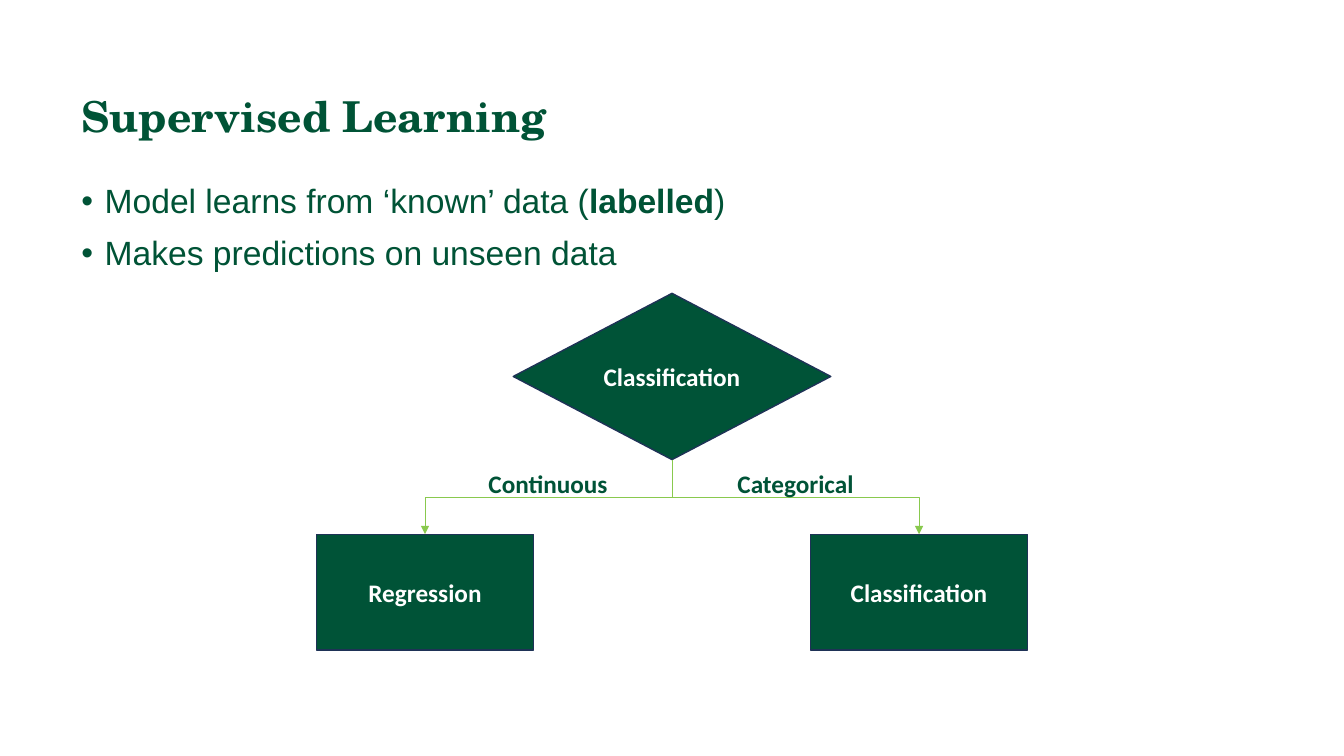
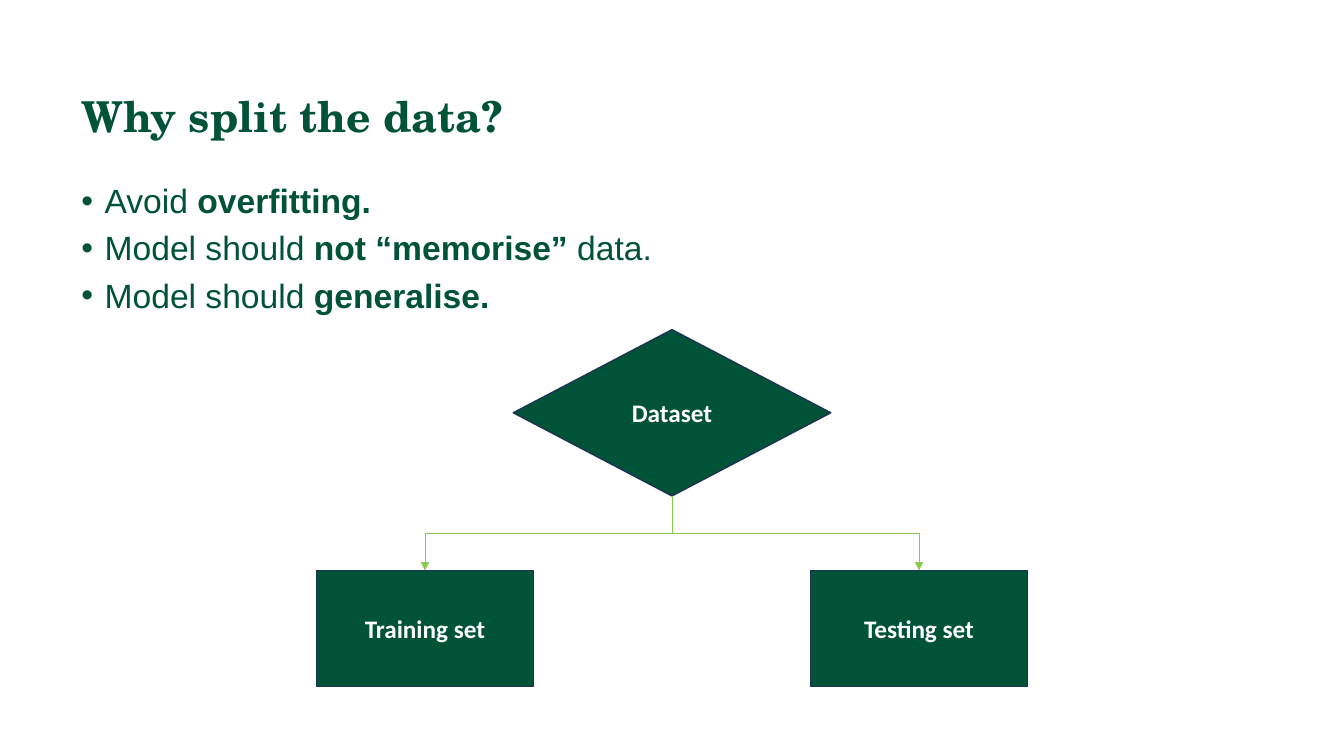
from lxml.etree import SubElement
from pptx import Presentation
from pptx.dml.color import RGBColor
from pptx.enum.shapes import MSO_CONNECTOR as Connector, MSO_SHAPE as Shape
from pptx.enum.text import MSO_ANCHOR as Anchor, PP_ALIGN as Align
from pptx.oxml.ns import qn
from pptx.util import Inches, Pt

# Each bullet is a list of (text, bold) spans; each branch is (box text, label).
SLIDES = [
    {
        "title": "Supervised Learning",
        "bullets": [
            [("Model learns from ‘known’ data (", False), ("labelled", True), (")", False)],
            [("Makes predictions on unseen data", False)],
        ],
        "bullet_pitch": 0.52,
        "diagram_top": 2.91,
        "root": "Classification",
        "branches": [("Regression", "Continuous"), ("Classification", "Categorical")],
    },
    {
        "title": "Why split the data?",
        "bullets": [
            [("Avoid ", False), ("overfitting.", True)],
            [("Model should ", False), ("not “memorise”", True), (" data.", False)],
            [("Model should ", False), ("generalise.", True)],
        ],
        "bullet_pitch": 0.47,
        "diagram_top": 3.27,
        "root": "Dataset",
        "branches": [("Training set", None), ("Testing set", None)],
    },
]

COLORS = {
    "text": "005336",
    "fill": "005337",
    "outline": "1E3256",
    "arrow": "89C94E",
    "white": "FFFFFF",
}
TITLE = {"name": "TeX Gyre Schola", "size": Pt(30.4), "bold": True}
BODY = {"name": "Arial", "size": Pt(24)}
NODE = {"name": "Calibri", "size": Pt(18), "bold": True}

TEXT_LEFT, TEXT_WIDTH = 0.71, 11.5
TITLE_TOP, TITLE_HEIGHT = 0.9, 0.77
BODY_TOP = 1.78
BULLET_INDENT = 0.23

CENTER = 6.665
ROOT_WIDTH, ROOT_HEIGHT = 3.15, 1.65
LEAF_WIDTH, LEAF_HEIGHT = 2.15, 1.15
BRANCH_SPAN, BRANCH_DROP = 2.45, 0.74
LABELS = [(4.64, 1.59), (7.17, 1.44)]  # left, width
LABEL_HEIGHT, LABEL_GAP = 0.4, 0.04


def color(name):
    return RGBColor.from_string(COLORS[name])


def add_span(para, text, font, ink):
    span = para.add_run()
    span.text = text
    for key, value in font.items():
        setattr(span.font, key, value)
    span.font.color.rgb = color(ink)


def add_box(page, left, top, width, height):
    """Add a wrapping text box and return it with its first paragraph."""
    box = page.shapes.add_textbox(*map(Inches, (left, top, width, height)))
    box.text_frame.word_wrap = True
    return box.text_frame.paragraphs[0]


def add_title(page, text):
    para = add_box(page, TEXT_LEFT, TITLE_TOP, TEXT_WIDTH, TITLE_HEIGHT)
    para.line_spacing = 0.9
    add_span(para, text, TITLE, "text")


def add_bullets(page, bullets, pitch):
    for row, spans in enumerate(bullets):
        para = add_box(page, TEXT_LEFT, BODY_TOP + row * pitch, TEXT_WIDTH, pitch)
        para.line_spacing = 0.9
        para.space_before = Pt(9)
        properties = para._p.get_or_add_pPr()
        properties.set("marL", str(Inches(BULLET_INDENT)))
        properties.set("indent", str(-Inches(BULLET_INDENT)))
        SubElement(properties, qn("a:buFont"), typeface="Arial")
        SubElement(properties, qn("a:buChar"), char="•")
        for text, bold in spans:
            add_span(para, text, {**BODY, "bold": bold}, "text")


def add_node(page, kind, center, top, width, height, text):
    node = page.shapes.add_shape(
        kind, *map(Inches, (center - width / 2, top, width, height)))
    node.shadow.inherit = False
    node.fill.solid()
    node.fill.fore_color.rgb = color("fill")
    node.line.color.rgb = color("outline")
    node.line.width = Pt(1)
    frame = node.text_frame
    frame.vertical_anchor = Anchor.MIDDLE
    para = frame.paragraphs[0]
    para.alignment = Align.CENTER
    add_span(para, text, NODE, "white")
    return node


def add_branch(page, root, leaf, side, top):
    """Join root to leaf with an elbow arrow that is turned to run downwards."""
    arrow = page.shapes.add_connector(Connector.ELBOW, 0, 0, 0, 0)
    arrow.begin_connect(root, 2)
    arrow.end_connect(leaf, 0)
    arrow.left = Inches(CENTER + side * BRANCH_SPAN / 2 - BRANCH_DROP / 2)
    arrow.top = Inches(top + BRANCH_DROP / 2 - BRANCH_SPAN / 2)
    arrow.width, arrow.height = Inches(BRANCH_DROP), Inches(BRANCH_SPAN)
    properties = arrow._element.spPr
    frame = properties.find(qn("a:xfrm"))
    frame.set("rot", "5400000" if side < 0 else "16200000")
    frame.set("flipH", "0" if side < 0 else "1")
    frame.set("flipV", "0")
    arrow.line.color.rgb = color("arrow")
    arrow.line.width = Pt(0.5)
    SubElement(properties.find(qn("a:ln")), qn("a:tailEnd"), type="triangle")
    SubElement(properties, qn("a:effectLst"))


def add_diagram(page, top, root_text, branches):
    root = add_node(page, Shape.DIAMOND, CENTER, top, ROOT_WIDTH, ROOT_HEIGHT, root_text)
    root_bottom = top + ROOT_HEIGHT
    for side, (text, label), (left, width) in zip((-1, 1), branches, LABELS):
        leaf = add_node(page, Shape.RECTANGLE, CENTER + side * BRANCH_SPAN,
                        root_bottom + BRANCH_DROP, LEAF_WIDTH, LEAF_HEIGHT, text)
        add_branch(page, root, leaf, side, root_bottom)
        if label:
            para = add_box(page, left, root_bottom + LABEL_GAP, width, LABEL_HEIGHT)
            para.alignment = Align.CENTER
            add_span(para, label, NODE, "fill")


def main():
    deck = Presentation()
    deck.slide_width, deck.slide_height = Inches(13.33), Inches(7.5)
    for content in SLIDES:
        page = deck.slides.add_slide(deck.slide_layouts[6])
        add_title(page, content["title"])
        add_bullets(page, content["bullets"], content["bullet_pitch"])
        add_diagram(page, content["diagram_top"], content["root"], content["branches"])
    deck.save("out.pptx")


if __name__ == "__main__":
    main()
